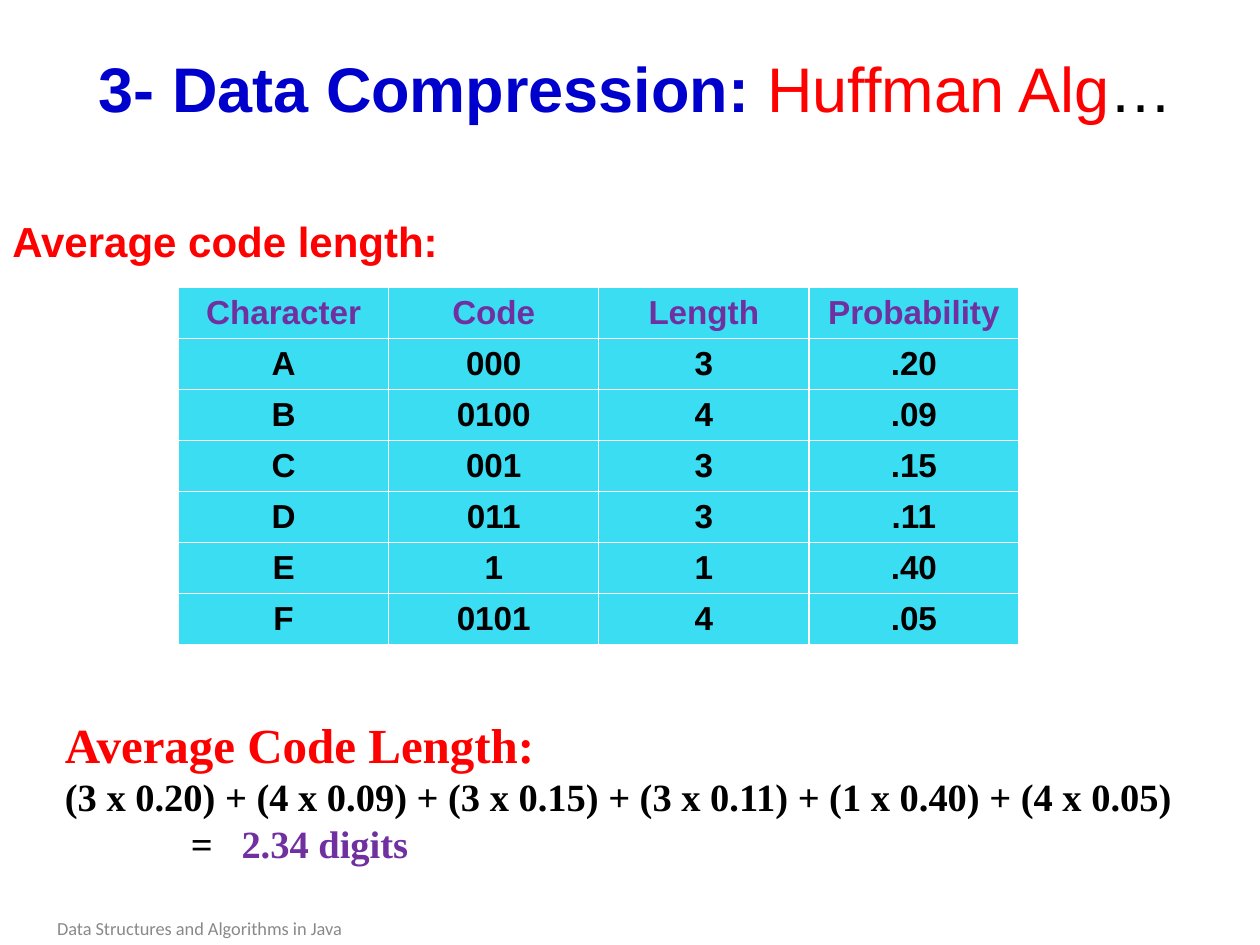
from lxml.etree import SubElement
from pptx import Presentation
from pptx.dml.color import RGBColor
from pptx.enum.text import MSO_ANCHOR, PP_ALIGN
from pptx.oxml.ns import qn
from pptx.util import Cm, Pt

MID = MSO_ANCHOR.MIDDLE
TOP = MSO_ANCHOR.TOP
LEFT = PP_ALIGN.LEFT
CENTER = PP_ALIGN.CENTER

RED, BLACK, BLUE = "FF0000", "000000", "0000CC"
PURPLE, CYAN, GRAY = "7030A0", "3BDDF3", "898989"
SANS, SERIF, FOOT = "Arial", "Times New Roman", "Calibri"

ROWS = [
    ("Character", "Code", "Length", "Probability"),
    ("A", "000", "3", ".20"),
    ("B", "0100", "4", ".09"),
    ("C", "001", "3", ".15"),
    ("D", "011", "3", ".11"),
    ("E", "1", "1", ".40"),
    ("F", "0101", "4", ".05"),
]
SUM = " + ".join(
    f"({row[2]} x 0{row[3]})" for row in ROWS[1:]
)


def color(code):
    return RGBColor.from_string(code)


class Deck:
    """Holds the presentation, its current slide and the text style."""

    def __init__(self):
        self.prs = Presentation()
        self.prs.slide_width, self.prs.slide_height = Cm(25.4), Cm(19.05)
        self.slide = self.prs.slides.add_slide(self.prs.slide_layouts[5])

    def run(self, para, text, size, font, code, bold=True):
        run = para.add_run()
        run.text = text
        run.font.size, run.font.name, run.font.bold = Pt(size), font, bold
        run.font.color.rgb = color(code)

    def fill(self, shape, box, paras, align=LEFT, anchor=TOP):
        shape.left, shape.top, shape.width, shape.height = map(Cm, box)
        frame = shape.text_frame
        frame.word_wrap = True
        frame.vertical_anchor = anchor
        for i, runs in enumerate(paras):
            para = frame.add_paragraph() if i else frame.paragraphs[0]
            para.alignment = align
            for run in runs:
                self.run(para, *run)
        return frame

    def title(self, box, runs):
        self.fill(self.slide.shapes.title, box, [runs], CENTER, MID)

    def text(self, box, paras, align=LEFT, anchor=TOP):
        shape = self.slide.shapes.add_textbox(*map(Cm, box))
        return self.fill(shape, box, paras, align, anchor)

    def tabs(self, para, stops):
        tabs = SubElement(para._p.get_or_add_pPr(), qn("a:tabLst"))
        for stop in stops:
            SubElement(tabs, qn("a:tab"), pos=str(Cm(stop)), algn="l")

    def table(self, box, rows):
        table = self.slide.shapes.add_table(
            len(rows), len(rows[0]), *map(Cm, box)
        ).table
        for r, row in enumerate(rows):
            for c, text in enumerate(row):
                cell = table.cell(r, c)
                cell.fill.solid()
                cell.fill.fore_color.rgb = color(CYAN)
                para = cell.text_frame.paragraphs[0]
                para.alignment = CENTER
                self.run(para, text, 19, SANS, BLACK if r else PURPLE)


def main():
    deck = Deck()
    deck.title((1.06, 0.85, 23.5, 1.8), [
        ("3- Data Compression: ", 36, SANS, BLUE),
        ("Huffman Alg", 36, SANS, RED, False),
        ("…", 36, SANS, BLACK, False),
    ])
    deck.table((3.6, 5.8, 16.94, 7.2), ROWS)
    deck.text((0, 4.22, 11.85, 1.28), [
        [("Average code length:", 24, SANS, RED)],
    ])
    frame = deck.text((1.06, 14.28, 23.7, 3.3), [
        [("Average Code Length:", 28, SERIF, RED)],
        [(SUM, 22, SERIF, BLACK)],
        [("\t=\t", 22, SERIF, BLACK), ("2.34 digits", 22, SERIF, PURPLE)],
    ])
    deck.tabs(frame.paragraphs[-1], (2.54, 3.56))
    deck.text((0, 18.36, 8.05, 0.69), [
        [("Data Structures and Algorithms in Java", 10.5, FOOT, GRAY, False)],
    ], CENTER, MID)
    deck.prs.save("out.pptx")


if __name__ == "__main__":
    main()
